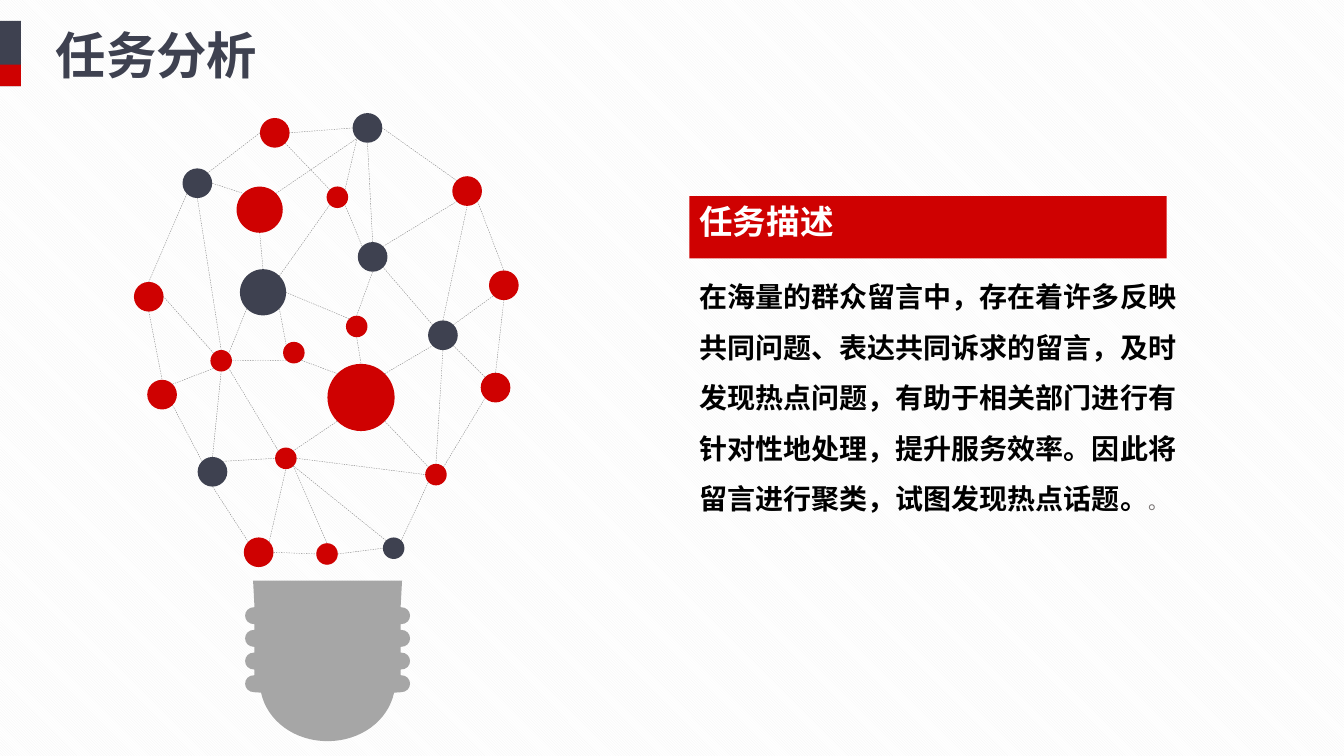
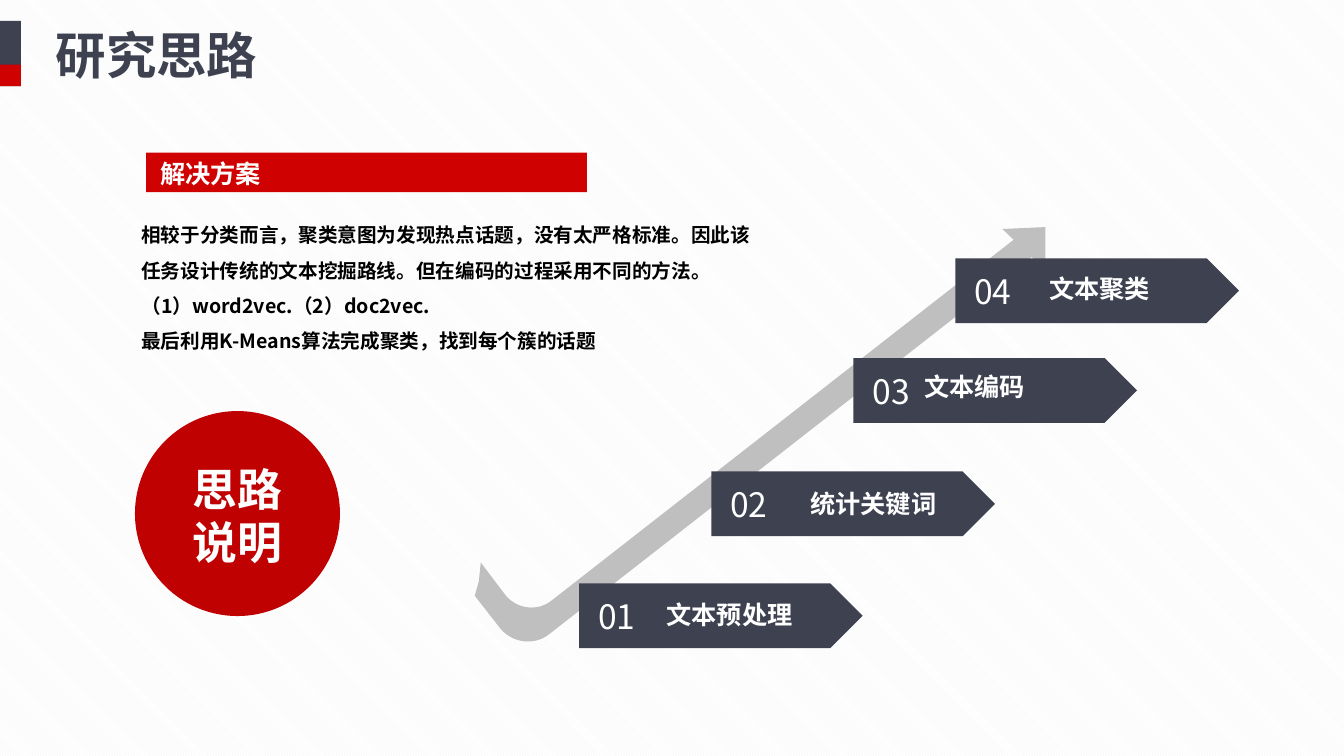
from math import cos, radians, sin

from lxml import etree
from pptx import Presentation
from pptx.dml.color import RGBColor
from pptx.enum.dml import MSO_LINE, MSO_PATTERN
from pptx.enum.shapes import MSO_CONNECTOR, MSO_SHAPE
from pptx.enum.text import MSO_ANCHOR, MSO_AUTO_SIZE, PP_ALIGN
from pptx.oxml.ns import qn
from pptx.util import Pt

RECTANGLE, OVAL = MSO_SHAPE.RECTANGLE, MSO_SHAPE.OVAL
TRIANGLE, PENTAGON = MSO_SHAPE.ISOSCELES_TRIANGLE, MSO_SHAPE.PENTAGON
STRAIGHT, DASH = MSO_CONNECTOR.STRAIGHT, MSO_LINE.DASH
STRIPES = MSO_PATTERN.LIGHT_DOWNWARD_DIAGONAL
LEFT, CENTER = PP_ALIGN.LEFT, PP_ALIGN.CENTER
TOP, MIDDLE = MSO_ANCHOR.TOP, MSO_ANCHOR.MIDDLE
NO_AUTOFIT = MSO_AUTO_SIZE.NONE

FONT = "Noto Sans CJK SC"
DARK = RGBColor(0x3E, 0x41, 0x50)
RED = RGBColor(0xCF, 0x01, 0x01)
DEEP_RED = RGBColor(0xC0, 0x01, 0x02)
WHITE = RGBColor(0xFF, 0xFF, 0xFF)
OFF_WHITE = RGBColor(0xFE, 0xFE, 0xFE)
STRIPE = RGBColor(0xF2, 0xF2, 0xF2)
BLACK = RGBColor(0, 0, 0)
TEXT_GRAY = RGBColor(0x76, 0x71, 0x71)
LINE_GRAY = RGBColor(0x80, 0x80, 0x80)
BULB_GRAY = RGBColor(0xA6, 0xA6, 0xA6)
ARROW_GRAY = RGBColor(0xBF, 0xBF, 0xBF)

TASK_TEXT = (
    "在海量的群众留言中，存在着许多反映共同问题、表达共同诉求的留言，"
    "及时发现热点问题，有助于相关部门进行有针对性地处理，提升服务效率。"
    "因此将留言进行聚类，试图发现热点话题。"
)
SOLUTION_TEXT = [
    "相较于分类而言，聚类意图为发现热点话题，没有太严格标准。"
    "因此该任务设计传统的文本挖掘路线。但在编码的过程采用不同的方法。",
    "（1）word2vec.（2）doc2vec.",
    "最后利用K-Means算法完成聚类，找到每个簇的话题",
]

SMALL, MEDIUM, LARGE, HUGE = 15.4, 21.2, 33, 48
# Node key: centre x, centre y, diameter, colour
NODES = {
    "a": (184.8, 394.5, MEDIUM, RED),
    "b": (281.2, 391.6, SMALL, DARK),
    "c": (233.6, 395.7, SMALL, RED),
    "d": (151.8, 337, MEDIUM, DARK),
    "e": (115.8, 281.9, MEDIUM, RED),
    "f": (106.3, 212, MEDIUM, RED),
    "g": (141, 130.9, MEDIUM, DARK),
    "h": (196.3, 94.9, MEDIUM, RED),
    "i": (262.5, 91.4, MEDIUM, DARK),
    "j": (333.7, 136.5, MEDIUM, RED),
    "k": (359.9, 203.8, MEDIUM, RED),
    "l": (354, 276.9, MEDIUM, RED),
    "m": (311.4, 339, SMALL, RED),
    "n": (204.2, 327.4, SMALL, RED),
    "o": (187.9, 208.8, LARGE, DARK),
    "p": (257.9, 283.9, HUGE, RED),
    "q": (209.9, 251.9, SMALL, RED),
    "r": (158, 257.7, SMALL, RED),
    "s": (241, 140.9, SMALL, RED),
    "t": (266.2, 183.5, MEDIUM, DARK),
    "u": (316.4, 239.5, MEDIUM, DARK),
    "v": (185.5, 149.8, LARGE, RED),
    "w": (254.8, 233.2, SMALL, RED),
}
# Each link joins two nodes, each at a compass point of its rim
LINKS = """
aE-cW cE-bW bNE-mSW mNE-lSW lN-kS kN-jSE jNW-iE iW-hE hW-gNE gSW-fN
fS-eN eSE-dNW dS-aNW aNE-nS nE-mW nSE-cN bNW-nSE nNW-rSE dNE-nW rSW-eNE
dN-rS rN-gS rNW-fE gE-vNW vS-oN oSE-qNW qSE-pNW pSE-mNW pSW-nNE qSW-rE
oSW-rNE oNE-sSW sNE-iSW vNE-iSW hSE-sNW tNE-jSW tN-iS tNW-sSE wN-tS wS-pN
wNW-oE pNE-uSW uN-jS uNW-tSE uNE-kSW uSE-lNW mN-uS
""".split()
COMPASS = {name: radians(45 * step) for step, name in
           enumerate(["E", "SE", "S", "SW", "W", "NW", "N", "NE"])}

BULB_AXIS, BULB_TOP, BULB_NECK = 234, 414.7, 286.2
THREADS, THREAD_TOP, THREAD_PITCH, THREAD_RADIUS = 4, 439.8, 16.2, 6.1
BOWL = [(281.5, 494.8)], [(277.2, 514.8), (257.8, 529.4), (BULB_AXIS, 529.4)]

# Outlines are steps: one point for a line, three points for a curve
ARROW_BAND = [
    [(725.8, 169.9)], [(743.8, 169.9)], [(743, 173.5)],
    [(741.6, 177.8), (738.7, 181.8), (734.4, 185.8)],
    [(392.4, 452.9)],
    [(381.6, 461.5), (365.8, 459.4), (357.1, 448.6)],
    [(339.1, 425.5)], [(342, 415.4)], [(343.4, 401.8)], [(361.4, 425.5)],
    [(369.4, 434.9), (383.8, 437), (393.8, 429.1)],
]

# Number, label, left, top, label offset x, label offset y
STEPS = [
    ("04", "文本聚类", 682.4, 184.6, 60, 7),
    ("03", "文本编码", 609.6, 255.8, 43.4, 6),
    ("02", "统计关键词", 508.1, 336.8, 63.6, 8.5),
    ("01", "文本预处理", 413.6, 416.8, 55.4, 7.5),
]
STEP_WIDTH, STEP_HEIGHT = 202.6, 46.2


def add_run(paragraph, text, *, size, color, bold=True):
    run = paragraph.add_run()
    run.text = text
    font = run.font
    font.name, font.size, font.bold = FONT, Pt(size), bold
    font.color.rgb = color
    east_asian = etree.SubElement(font._element, qn("a:ea"))
    east_asian.set("typeface", FONT)


def write(shape, lines, *, size, color, bold=True, align=LEFT, anchor=MIDDLE,
          wrap=False, spacing=None, margins=(7.2, 3.6, 7.2, 3.6)):
    """Fill a shape with one paragraph per line; margins go left, top, right, bottom."""
    frame = shape.text_frame
    frame.auto_size = NO_AUTOFIT
    frame.word_wrap, frame.vertical_anchor = wrap, anchor
    (frame.margin_left, frame.margin_top,
     frame.margin_right, frame.margin_bottom) = map(Pt, margins)
    for index, line in enumerate(lines):
        paragraph = frame.add_paragraph() if index else frame.paragraphs[0]
        paragraph.alignment = align
        if spacing:
            paragraph.line_spacing = spacing
        add_run(paragraph, line, size=size, color=color, bold=bold)
    return shape


def add_text(slide, lines, left, top, width, height, **text_format):
    box = slide.shapes.add_textbox(Pt(left), Pt(top), Pt(width), Pt(height))
    return write(box, lines, **text_format)


def paint(shape, color):
    shape.shadow.inherit = False
    shape.fill.solid()
    shape.fill.fore_color.rgb = color
    shape.line.fill.background()
    return shape


def add_filled(slide, kind, left, top, width, height, color):
    shape = slide.shapes.add_shape(kind, Pt(left), Pt(top), Pt(width), Pt(height))
    return paint(shape, color)


def add_outline(slide, steps, color):
    """Draw a closed outline; each three-point step becomes one Bezier curve."""
    corners = [(Pt(x), Pt(y)) for step in steps for x, y in step]
    builder = slide.shapes.build_freeform(*corners[0])
    builder.add_line_segments(corners[1:], close=True)
    shape = paint(builder.convert_to_shape(), color)
    segments = iter(list(shape._element.iter(qn("a:lnTo"))))
    for step in steps[1:]:
        first, *others = [next(segments) for _ in step]
        if others:
            first.tag = qn("a:cubicBezTo")
            for segment in others:
                first.append(segment[0])
                segment.getparent().remove(segment)
    return shape


def mirror(steps, axis):
    """The same steps walked backwards on the other side of a vertical axis."""
    points = iter([(2 * axis - x, y) for step in reversed(steps)
                   for x, y in reversed(step)][1:])
    return [[next(points) for _ in step] for step in reversed(steps[1:])]


def add_titled_slide(presentation, title):
    slide = presentation.slides.add_slide(presentation.slide_layouts[5])
    add_filled(slide, RECTANGLE, 0, 15, 15, 46.6, DARK)
    add_filled(slide, RECTANGLE, 0, 46.2, 15, 15.4, RED)
    placeholder = slide.shapes.title
    placeholder.left, placeholder.top = Pt(32.6), Pt(13.6)
    placeholder.width, placeholder.height = Pt(180), Pt(51)
    write(placeholder, [title], size=36, color=DARK, wrap=True)
    return slide


def add_bulb_base(slide):
    right = [[(287.2, BULB_TOP)]]
    for thread in range(THREADS):
        center = THREAD_TOP + thread * THREAD_PITCH
        upper, lower = center - THREAD_RADIUS, center + THREAD_RADIUS
        bulge = BULB_NECK + THREAD_RADIUS * 4 / 3 + 0.8
        right += [[(BULB_NECK, upper)],
                  [(bulge, upper), (bulge, lower), (BULB_NECK, lower)]]
    right += BOWL
    add_outline(slide, right + mirror(right, BULB_AXIS), BULB_GRAY)


def rim_point(end):
    """Place of a link end such as "aNE": node key, then compass point."""
    x, y, diameter, _ = NODES[end[0]]
    angle = COMPASS[end[1:]]
    return Pt(x + diameter / 2 * cos(angle)), Pt(y + diameter / 2 * sin(angle))


def add_network(slide):
    for x, y, diameter, color in NODES.values():
        add_filled(slide, OVAL, x - diameter / 2, y - diameter / 2,
                   diameter, diameter, color)
    for link in LINKS:
        start, end = link.split("-")
        connector = slide.shapes.add_connector(
            STRAIGHT, *rim_point(start), *rim_point(end))
        connector.line.color.rgb = LINE_GRAY
        connector.line.width = Pt(0.25)
        connector.line.dash_style = DASH
        etree.SubElement(connector._element.spPr, qn("a:effectLst"))


def add_rising_arrow(slide):
    add_outline(slide, ARROW_BAND, ARROW_GRAY)
    head = add_filled(slide, TRIANGLE, 717.8, 159.1, 42.5, 22.3, ARROW_GRAY)
    head.rotation = 43.9


def build_task_slide(presentation):
    slide = add_titled_slide(presentation, "任务分析")
    add_bulb_base(slide)
    add_network(slide)
    add_filled(slide, RECTANGLE, 492.4, 140, 341, 44.6, RED)
    add_text(slide, ["任务描述"], 492.4, 140.2, 110.4, 36, size=24, color=WHITE)
    body = add_text(slide, [TASK_TEXT], 492.5, 184.4, 369.4, 185, size=20,
                    color=BLACK, anchor=TOP, wrap=True, spacing=1.5)
    add_run(body.text_frame.paragraphs[0], "。", size=14, color=TEXT_GRAY, bold=False)


def build_approach_slide(presentation):
    slide = add_titled_slide(presentation, "研究思路")
    add_rising_arrow(slide)
    add_filled(slide, OVAL, 96.4, 293.6, 146.4, 146.4, DEEP_RED)
    caption = add_filled(slide, RECTANGLE, 130.2, 325.4, 79.2, 85, DEEP_RED)
    write(caption, ["思路", "说明"], size=32, color=OFF_WHITE, align=CENTER)
    for number, label, left, top, label_x, label_y in STEPS:
        add_filled(slide, PENTAGON, left, top, STEP_WIDTH, STEP_HEIGHT, DARK)
        badge = add_filled(slide, RECTANGLE, left + 6.5, top + 5.4, 43.2, 36, DARK)
        write(badge, [number], size=24, color=WHITE, bold=False)
        add_text(slide, [label], left + label_x, top + label_y, 21 * len(label), 29,
                 size=18, color=WHITE)
    add_text(slide, SOLUTION_TEXT, 93.9, 147.6, 454.4, 106, size=14,
             color=BLACK, anchor=TOP, wrap=True, spacing=1.5)
    add_filled(slide, RECTANGLE, 104.4, 109, 314.8, 28.2, RED)
    add_text(slide, ["解决方案"], 107.3, 109.5, 375, 29, size=18, color=WHITE, wrap=True)


def main():
    presentation = Presentation()
    presentation.slide_width, presentation.slide_height = Pt(960), Pt(540)
    backdrop = presentation.slide_master.background.fill
    backdrop.patterned()
    backdrop.pattern = STRIPES
    backdrop.fore_color.rgb, backdrop.back_color.rgb = STRIPE, WHITE
    build_task_slide(presentation)
    build_approach_slide(presentation)
    presentation.save("out.pptx")


if __name__ == "__main__":
    main()
